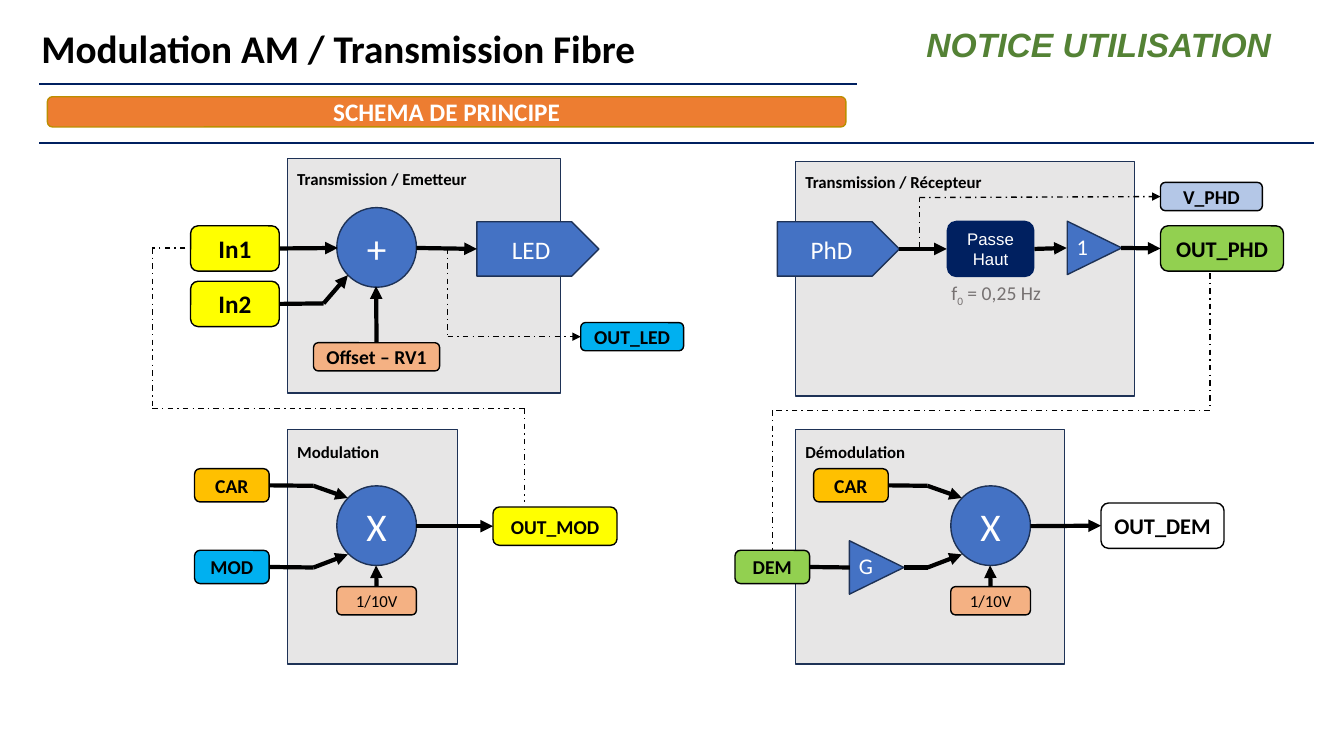
import dataclasses

import pptx
import pptx.dml.color
import pptx.enum.dml
import pptx.enum.shapes
import pptx.enum.text
import pptx.oxml
import pptx.oxml.ns
import pptx.util

SCALE = 9144
MSO = pptx.enum.shapes.MSO_SHAPE
ALIGN = pptx.enum.text.PP_ALIGN
ANCHOR = pptx.enum.text.MSO_ANCHOR
SIDES = [(0.5, 0), (0, 0.5), (0.5, 1), (1, 0.5)]
TOP, LEFT, BOTTOM, RIGHT = range(4)


@dataclasses.dataclass(frozen=True)
class Theme:
    font: str = "Calibri"
    alt_font: str = "Arial"
    black: str = "000000"
    white: str = "FFFFFF"
    navy: str = "002060"
    notice: str = "548235"
    banner: str = "ED7D31"
    banner_edge: str = "BC8E00"
    panel: str = "E7E6E6"
    block: str = "4472C4"
    edge: str = "1E3256"
    yellow: str = "FFFF00"
    peach: str = "F4B183"
    cyan: str = "00B0F0"
    green: str = "92D050"
    amber: str = "FFC000"
    pale: str = "B4C7E7"
    grey: str = "767171"
    title: int = 28
    heading: int = 24
    large: int = 18
    medium: int = 16
    normal: int = 14
    small: int = 12


T = Theme()


def px(n):
    return pptx.util.Emu(round(n * SCALE))


def rgb(code):
    return pptx.dml.color.RGBColor.from_string(code)


def write(sp, text, size, color, bold=False, italic=False, font=T.font, align=ALIGN.LEFT, margin=5):
    tf = sp.text_frame
    tf.text = text
    tf.word_wrap = True
    tf.margin_left = tf.margin_right = px(10)
    tf.margin_top = tf.margin_bottom = px(margin)
    for p in tf.paragraphs:
        p.alignment = align
        for r in p.runs:
            r.font.name, r.font.size = font, pptx.util.Pt(size)
            r.font.bold, r.font.italic = bold, italic
            r.font.color.rgb = rgb(color)
    return tf


def textbox(s, box, text, size, color, **style):
    sp = s.shapes.add_textbox(*map(px, box))
    write(sp, text, size, color, **style)
    return sp


def shape(s, kind, box, fill, edge, text="", size=T.large, color=T.white, **style):
    sp = s.shapes.add_shape(kind, *map(px, box))
    sp.shadow.inherit = False
    sp.fill.solid()
    sp.fill.fore_color.rgb = rgb(fill)
    if edge:
        sp.line.color.rgb = rgb(edge)
        sp.line.width = pptx.util.Pt(1)
    else:
        sp.line.fill.background()
    if text:
        write(sp, text, size, color, align=ALIGN.CENTER, **style)
        sp.text_frame.vertical_anchor = ANCHOR.MIDDLE
    return sp


def tag(s, box, text, fill, size=T.normal, bold=True):
    return shape(s, MSO.ROUNDED_RECTANGLE, box, fill, T.black, text, size, T.black, bold=bold, margin=10)


def block(s, kind, box, text="", size=T.large):
    return shape(s, kind, box, T.block, T.edge, text, size)


def amplifier(s, x, y, text):
    block(s, MSO.ISOSCELES_TRIANGLE, (x, y, 53, 54)).rotation = 90
    textbox(s, (x - 1, y + 7, 51, 37), text, T.medium, T.white)


def panel(s, x, y, w, h, text, drop):
    shape(s, MSO.RECTANGLE, (x, y, w, h), T.panel, T.edge)
    textbox(s, (x, y + drop, 226, 30), text, T.small, T.black, bold=True)


def locate(point):
    sp, side = point
    if isinstance(sp, int):
        return px(sp), px(side)
    fx, fy = SIDES[side]
    return round(sp.left + fx * sp.width), round(sp.top + fy * sp.height)


def wire(s, *points, arrow=True, width=3, color=T.black, dashed=False):
    straight = pptx.enum.shapes.MSO_CONNECTOR.STRAIGHT
    for start, end in zip(points, points[1:]):
        c = s.shapes.add_connector(straight, *locate(start), *locate(end))
        if not isinstance(start[0], int):
            c.begin_connect(*start)
        if not isinstance(end[0], int):
            c.end_connect(*end)
        c.line.color.rgb = rgb(color)
        c.line.width = pptx.util.Pt(width)
        if dashed:
            c.line.dash_style = pptx.enum.dml.MSO_LINE.DASH_DOT
        if arrow and end is points[-1]:
            c.line._get_or_add_ln().append(pptx.oxml.parse_xml(
                f'<a:tailEnd {pptx.oxml.ns.nsdecls("a")} type="triangle"/>'))
        c._element.spPr.append(pptx.oxml.parse_xml(f'<a:effectLst {pptx.oxml.ns.nsdecls("a")}/>'))


def probe(s, *points, arrow=False):
    wire(s, *points, arrow=arrow, width=1, dashed=True)


def header(s, x, y, w):
    sp = s.shapes.title
    sp.left, sp.top, sp.width, sp.height = map(px, (x - 8, y, 615, 57))
    tf = write(sp, "Modulation AM / Transmission Fibre", T.title, T.black, bold=True)
    tf.word_wrap = False
    tf.auto_size = pptx.enum.text.MSO_AUTO_SIZE.NONE
    tf.vertical_anchor = ANCHOR.TOP
    notice = textbox(s, (x + 870, y, 365, 50), "NOTICE UTILISATION", T.heading, T.notice,
                     bold=True, italic=True, font=T.alt_font)
    notice.text_frame.word_wrap = False
    for length, drop in ((811, 64), (w, 123)):
        wire(s, (x, y + drop), (x + length, y + drop), arrow=False, width=1.5, color=T.navy)
    shape(s, MSO.ROUNDED_RECTANGLE, (x + 8, y + 77, 792, 30), T.banner, T.banner_edge,
          "SCHEMA DE PRINCIPE", T.large, bold=True)


def transmitter(s, x, y, w, h):
    panel(s, x, y, w, h, "Transmission / Emetteur", 5)
    axis = y + 89
    block(s, MSO.OVAL, (x + 49, y + 49, 79, 79), "+", T.title)
    in1, in2 = (tag(s, (x - 96, y + 67 + i * 55, 88, 45), f"In{i + 1}", T.yellow, T.large) for i in range(2))
    offset = tag(s, (x + 26, y + 183, 125, 28), "Offset – RV1", T.peach)
    led = block(s, MSO.PENTAGON, (x + 188, y + 63, 121, 54), "LED")
    out_led = tag(s, (x + 291, y + 163, 102, 28), "OUT_LED", T.cyan)
    wire(s, (in1, RIGHT), (x + 50, axis))
    wire(s, (in2, RIGHT), (x + 36, y + 144), (x + 60, y + 116))
    wire(s, (offset, TOP), (x + 88, y + 127))
    wire(s, (x + 128, axis), (led, LEFT))
    probe(s, (x + 159, axis), (x + 159, y + 177), (out_led, LEFT), arrow=True)


def receiver(s, x, y, w, h):
    panel(s, x, y, w, h, "Transmission / Récepteur", 5)
    axis = y + 86
    phd = block(s, MSO.PENTAGON, (x - 18, y + 60, 121, 54), "PhD")
    high_pass = shape(s, MSO.ROUNDED_RECTANGLE, (x + 150, y + 59, 87, 56), T.navy, None,
                      "Passe\nHaut", T.small, font=T.alt_font, margin=10)
    v_phd = tag(s, (x + 362, y + 21, 101, 28), "V_PHD", T.pale)
    out_phd = tag(s, (x + 362, y + 64, 122, 45), "OUT_PHD", T.green, T.medium)
    amplifier(s, x + 270, y + 59, "1")
    wire(s, (phd, RIGHT), (high_pass, LEFT))
    wire(s, (high_pass, RIGHT), (x + 269, axis))
    wire(s, (x + 323, axis), (out_phd, LEFT))
    probe(s, (x + 123, axis), (x + 123, y + 36), (v_phd, LEFT), arrow=True)
    cutoff = textbox(s, (x + 135, y + 114, 128, 34), "f", T.normal, T.grey, align=ALIGN.CENTER)
    p = cutoff.text_frame.paragraphs[0]
    for text, baseline in (("0", "-25000"), (" = 0,25 Hz", "0")):
        r = p.add_run()
        r.text = text
        r.font.name, r.font.size = T.font, pptx.util.Pt(T.normal)
        r.font.color.rgb = rgb(T.grey)
        r._r.get_or_add_rPr().set("baseline", baseline)


def mixer(s, x, y, upper, lower, output):
    block(s, MSO.OVAL, (x, y, 79, 79), "X", T.title)
    gain = tag(s, (x, y + 100, 79, 28), "1/10V", T.peach, T.small, bold=False)
    wire(s, (gain, TOP), (x + 39, y + 79))
    wire(s, upper, (x - 23, y), (x + 11, y + 12))
    wire(s, lower, (x - 23, y + 81), (x + 11, y + 68))
    wire(s, (x + 79, y + 40), output)


def modulation(s, x, y, w, h):
    panel(s, x, y, w, h, "Modulation", 7)
    car = tag(s, (x - 92, y + 39, 74, 33), "CAR", T.amber)
    mod = tag(s, (x - 92, y + 120, 74, 33), "MOD", T.cyan)
    out_mod = tag(s, (x + 204, y + 77, 123, 38), "OUT_MOD", T.yellow)
    mixer(s, x + 49, y + 56, (car, RIGHT), (mod, RIGHT), (out_mod, LEFT))


def demodulation(s, x, y, w, h):
    panel(s, x, y, w, h, "Démodulation", 7)
    car = tag(s, (x + 18, y + 39, 74, 33), "CAR", T.amber)
    dem = tag(s, (x - 60, y + 120, 74, 33), "DEM", T.green)
    out_dem = tag(s, (x + 303, y + 73, 122, 45), "OUT_DEM", T.white, T.medium)
    amplifier(s, x + 54, y + 110, "G")
    wire(s, (dem, RIGHT), (x + 54, y + 137), arrow=False)
    mixer(s, x + 154, y + 56, (car, RIGHT), (x + 108, y + 137), (out_dem, LEFT))
    return dem


def main():
    prs = pptx.Presentation()
    prs.slide_width, prs.slide_height = px(1333), px(750)
    s = prs.slides.add_slide(prs.slide_layouts[5])
    header(s, 39, 19, 1264)
    transmitter(s, 285, 157, 271, 233)
    receiver(s, 789, 160, 336, 233)
    modulation(s, 285, 426, 169, 233)
    dem = demodulation(s, 789, 426, 267, 233)
    probe(s, (184, 246), (151, 246), (151, 405), (520, 405), (520, 498))
    probe(s, (1200, 271), (1200, 407), (766, 407), (dem, TOP))
    prs.save("out.pptx")


if __name__ == "__main__":
    main()
